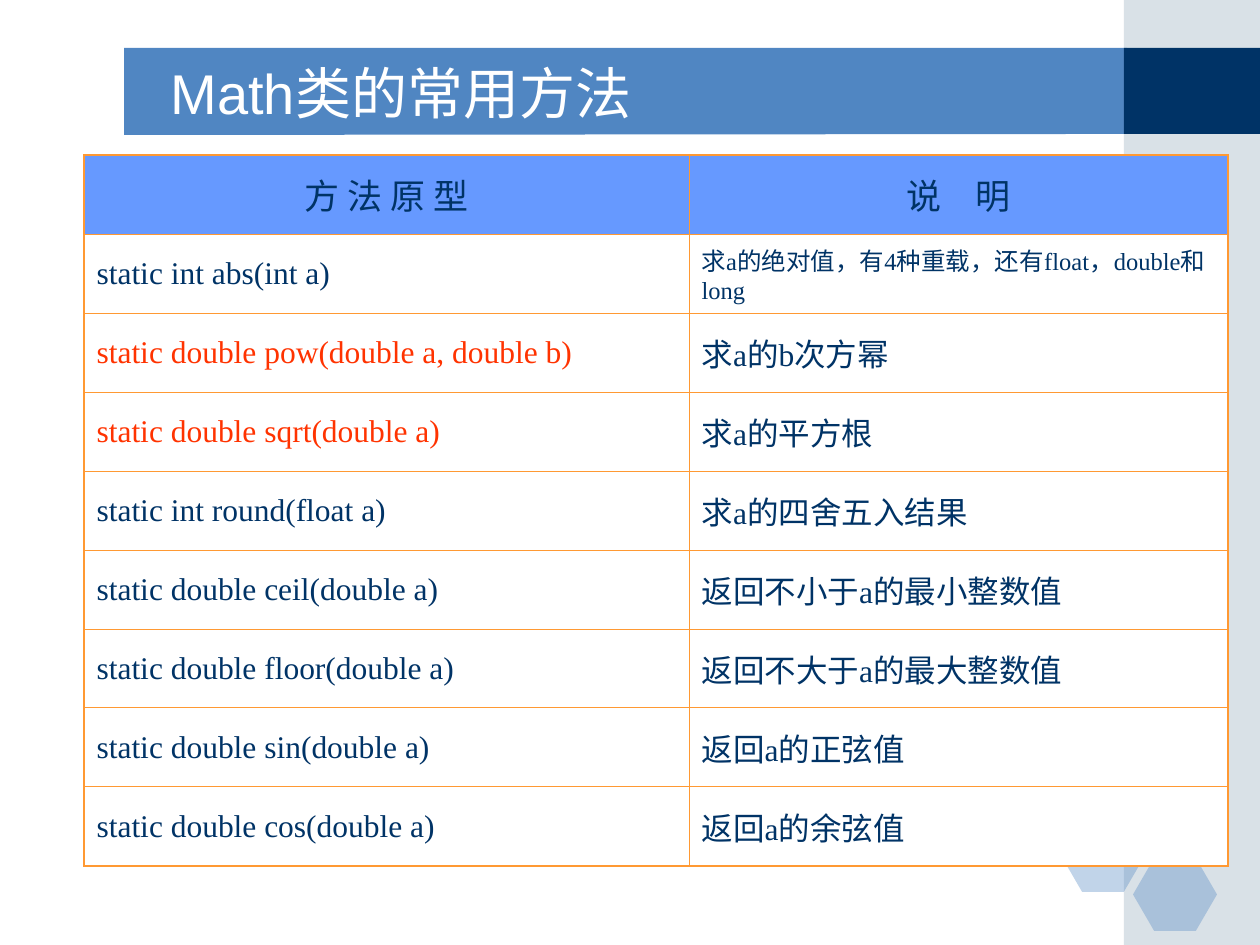
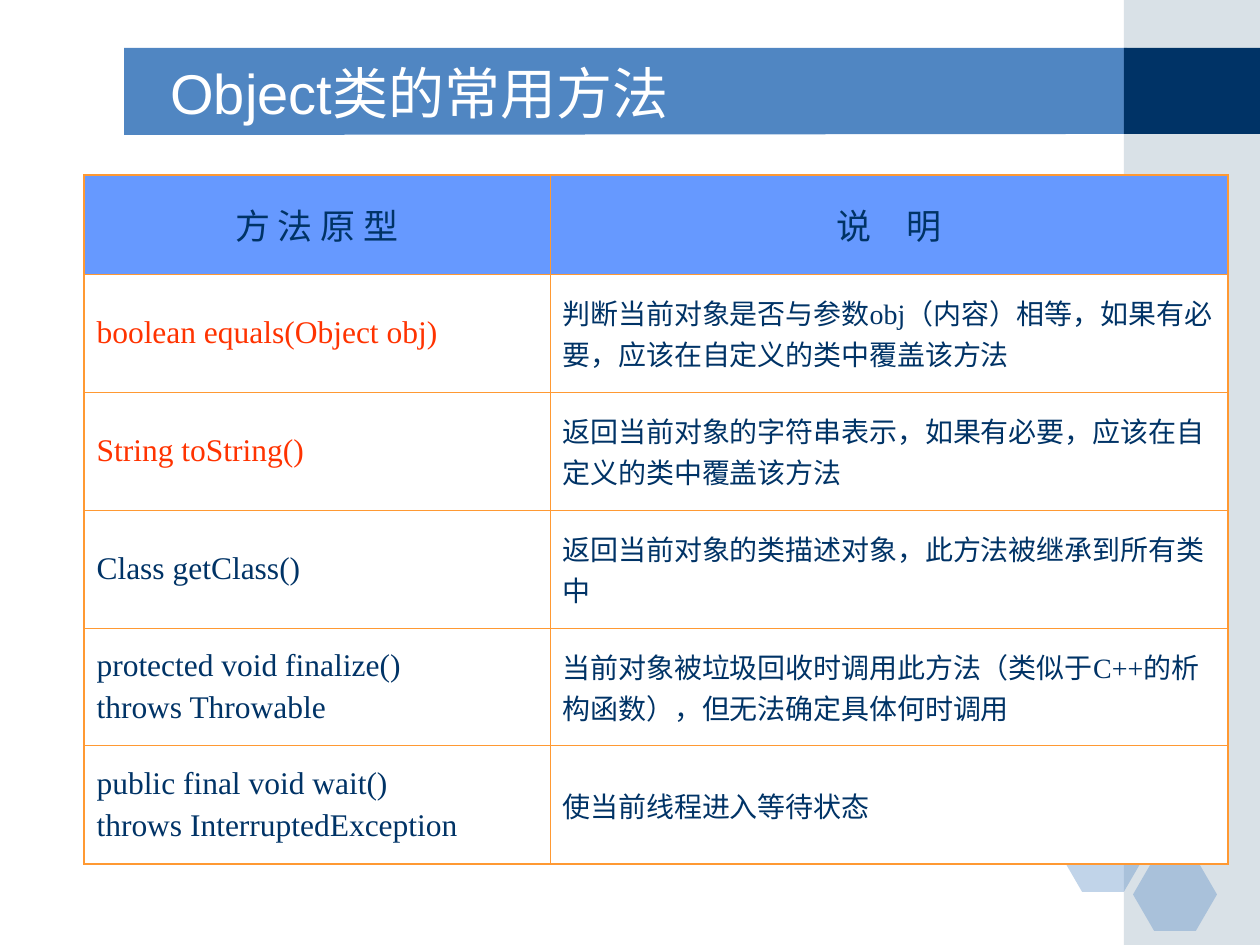
from dataclasses import dataclass

from lxml import etree
from pptx import Presentation
from pptx.dml.color import RGBColor
from pptx.enum import shapes, text
from pptx.oxml import ns
from pptx.util import Emu, Pt

HEADERS = ["方 法 原 型", "说 明"]
KEY_METHODS = {
    "static double pow(double a, double b)",
    "static double sqrt(double a)",
    "boolean equals(Object obj)",
    "String toString()",
}
SLIDES = [
    {
        "title": "Math类的常用方法",
        "top": 155, "cols": [605, 539], "header_height": 79, "row_height": 79,
        "note_size": 18,
        "methods": [
            ("static int abs(int a)", "求a的绝对值，有4种重载，还有float，double和long"),
            ("static double pow(double a, double b)", "求a的b次方幂"),
            ("static double sqrt(double a)", "求a的平方根"),
            ("static int round(float a)", "求a的四舍五入结果"),
            ("static double ceil(double a)", "返回不小于a的最小整数值"),
            ("static double floor(double a)", "返回不大于a的最大整数值"),
            ("static double sin(double a)", "返回a的正弦值"),
            ("static double cos(double a)", "返回a的余弦值"),
        ],
        "small_notes": {0},
    },
    {
        "title": "Object类的常用方法",
        "top": 175, "cols": [466, 678], "header_height": 99, "row_height": 118,
        "note_size": 16,
        "methods": [
            ("boolean equals(Object obj)",
             "判断当前对象是否与参数obj（内容）相等，如果有必要，应该在自定义的类中覆盖该方法"),
            ("String toString()",
             "返回当前对象的字符串表示，如果有必要，应该在自定义的类中覆盖该方法"),
            ("Class getClass()", "返回当前对象的类描述对象，此方法被继承到所有类中"),
            ("protected void finalize()\nthrows Throwable",
             "当前对象被垃圾回收时调用此方法（类似于C++的析构函数），但无法确定具体何时调用"),
            ("public final void wait()\nthrows InterruptedException", "使当前线程进入等待状态"),
        ],
        "small_notes": set(),
    },
]


@dataclass(frozen=True)
class Theme:
    band: str = "5086C2"
    side: str = "A0B5C4"
    navy: str = "003366"
    header: str = "6699FF"
    white: str = "FFFFFF"
    key: str = "FF3300"
    border: str = "FF9933"
    title_font: str = "Arial"
    header_font: str = "Courier New"
    body_font: str = "Times New Roman"
    title_size: int = 32
    header_size: int = 20
    body_size: int = 18
    small_size: int = 14
    outer_line: float = 1.08
    inner_line: float = 0.45


THEME = Theme()
SCALE = 914400 / 126
TABLE_LEFT = 84
BANNER = [(124, 48), (1127, 48), (1127, 134), (124, 135)]
TITLE_BOX = (158, 53, 924, 78)
RECT, HEXAGON = shapes.MSO_SHAPE.RECTANGLE, shapes.MSO_SHAPE.HEXAGON
DECOR = [
    (RECT, (1124, 0, 136, 945), THEME.side, 40),
    (RECT, (1124, 48, 136, 86), THEME.navy, 100),
    *[(HEXAGON, (x, y, 84, 73), THEME.band, 35)
      for x, y in [(1061, 819), (1134, 777), (1133, 858)]],
]


def px(n):
    return Emu(round(n * SCALE))


def paint(sp, color, opacity=100):
    sp.shadow.inherit = False
    sp.line.fill.background()
    sp.fill.solid()
    sp.fill.fore_color.rgb = RGBColor.from_string(color)
    if opacity < 100:
        clr = sp.fill._xPr.find(".//" + ns.qn("a:srgbClr"))
        etree.SubElement(clr, ns.qn("a:alpha"), val=str(opacity * 1000))


def style_run(r, font, size, color):
    for name, value in {"name": font, "size": Pt(size)}.items():
        setattr(r.font, name, value)
    r.font.color.rgb = RGBColor.from_string(color)


def add_frame(s, title):
    builder = s.shapes.build_freeform(*BANNER[0], scale=SCALE)
    builder.add_line_segments(BANNER[1:], close=True)
    paint(builder.convert_to_shape(), THEME.band)
    for kind, box, color, opacity in DECOR:
        sp = s.shapes.add_shape(kind, *map(px, box))
        if kind == HEXAGON:
            sp.adjustments[0] = 0.29
        paint(sp, color, opacity)
    tf = s.shapes.add_textbox(*map(px, TITLE_BOX)).text_frame
    tf.word_wrap = True
    tf.vertical_anchor = text.MSO_ANCHOR.MIDDLE
    r = tf.paragraphs[0].add_run()
    r.text = title
    style_run(r, THEME.title_font, THEME.title_size, THEME.white)


def set_borders(cell, outer_sides):
    tc_pr = cell._tc.get_or_add_tcPr()
    for i, side in enumerate("LRTB"):
        width = THEME.outer_line if side in outer_sides else THEME.inner_line
        ln = etree.Element(ns.qn(f"a:ln{side}"), w=str(int(Pt(width))))
        fill = etree.SubElement(ln, ns.qn("a:solidFill"))
        etree.SubElement(fill, ns.qn("a:srgbClr"), val=THEME.border)
        tc_pr.insert(i, ln)


def fill_cell(cell, words, fill, font, size, color, header=False):
    cell.vertical_anchor = text.MSO_ANCHOR.MIDDLE
    cell.fill.solid()
    cell.fill.fore_color.rgb = RGBColor.from_string(fill)
    tf = cell.text_frame
    for i, line in enumerate(words.split("\n")):
        p = tf.add_paragraph() if i else tf.paragraphs[0]
        if i:
            p.space_before = Pt(size / 4)
        if header:
            p.alignment = text.PP_ALIGN.CENTER
        wide_gap = line == HEADERS[1]
        for j, part in enumerate([line[:2], line[2:]] if wide_gap else [line]):
            r = p.add_run()
            r.text = part
            style_run(r, font, size, color)
            if wide_gap and j == 0:
                r.font._element.set("spc", "750")


def add_methods(s, page):
    rows = [HEADERS, *page["methods"]]
    heights = [page["header_height"]] + [page["row_height"]] * len(page["methods"])
    box = (TABLE_LEFT, page["top"], sum(page["cols"]), sum(heights))
    table = s.shapes.add_table(len(rows), 2, *map(px, box)).table
    table.first_row = table.horz_banding = False
    for col, width in zip(table.columns, page["cols"]):
        col.width = px(width)
    for i, (row, height) in enumerate(zip(table.rows, heights)):
        row.height = px(height)
        for j, words in enumerate(rows[i]):
            cell = table.cell(i, j)
            if i == 0:
                fill_cell(cell, words, THEME.header, THEME.header_font,
                          THEME.header_size, THEME.navy, header=True)
            else:
                size = page["note_size"] if j else THEME.body_size
                if j and i - 1 in page["small_notes"]:
                    size = THEME.small_size
                color = THEME.key if words in KEY_METHODS else THEME.navy
                fill_cell(cell, words, THEME.white, THEME.body_font, size, color)
            outer = "LR"[j] + "T" * (i == 0) + "B" * (i == len(rows) - 1)
            set_borders(cell, outer)


def main():
    prs = Presentation()
    prs.slide_width, prs.slide_height = px(1260), px(945)
    for page in SLIDES:
        s = prs.slides.add_slide(prs.slide_layouts[6])
        add_frame(s, page["title"])
        add_methods(s, page)
    prs.save("out.pptx")


if __name__ == "__main__":
    main()
